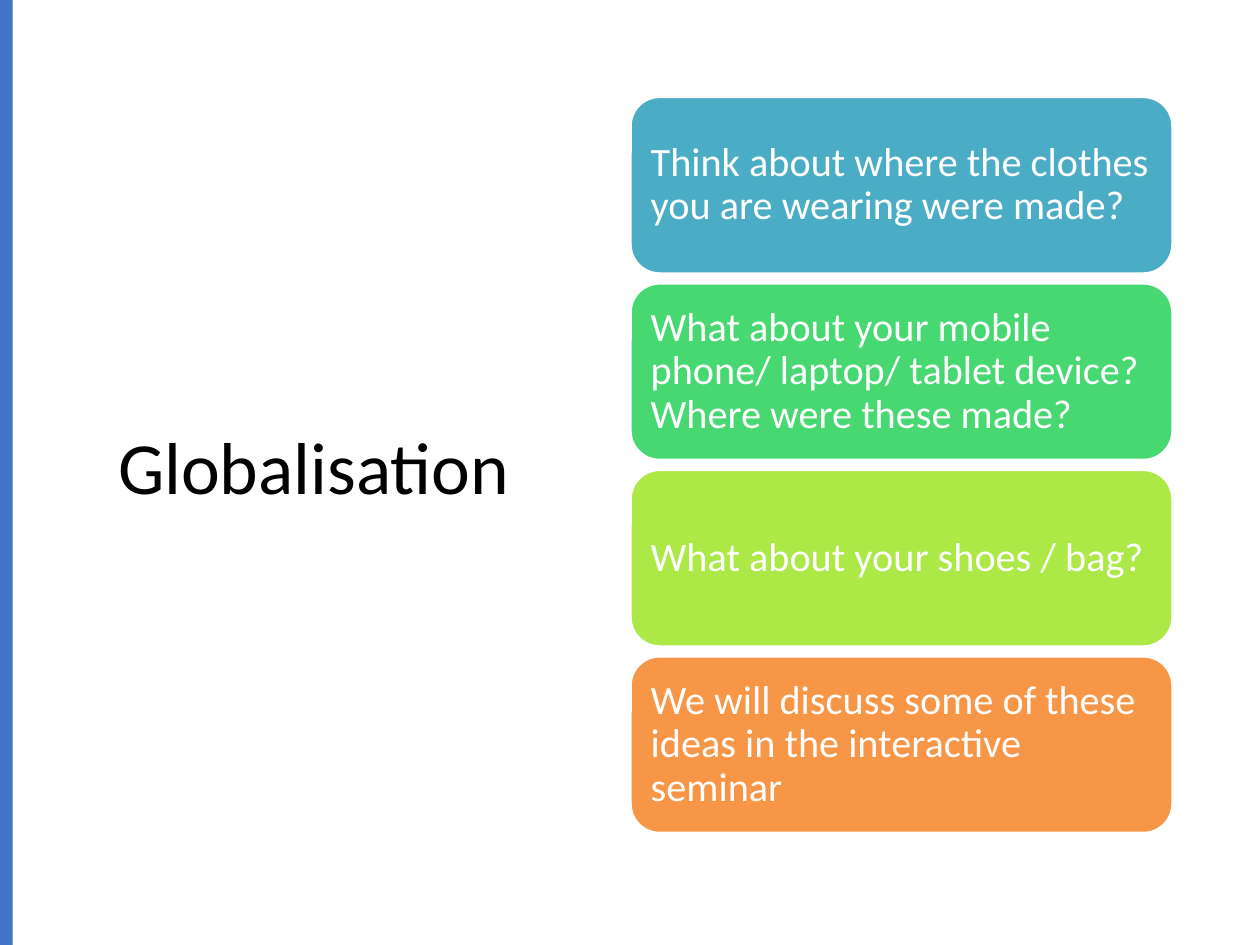
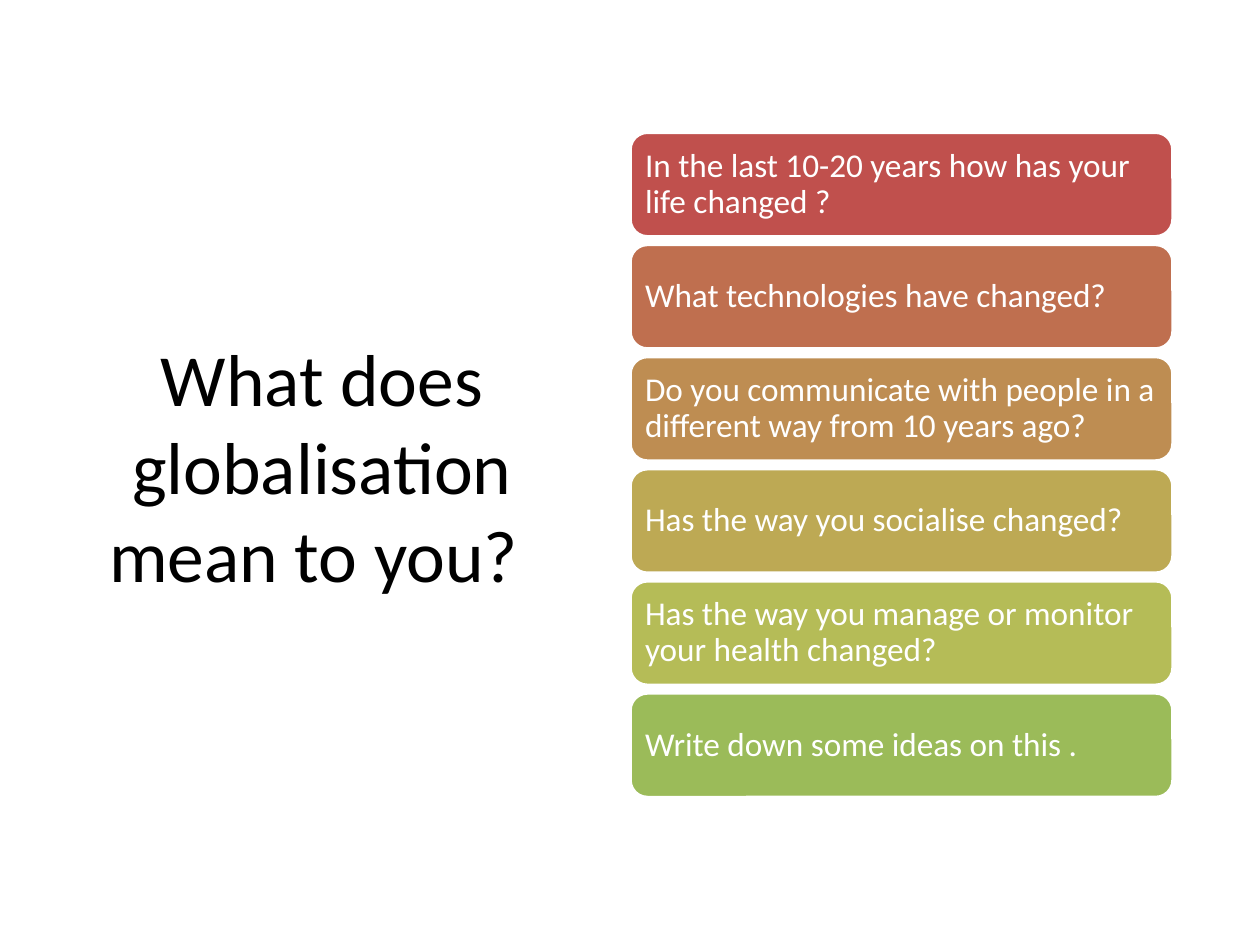
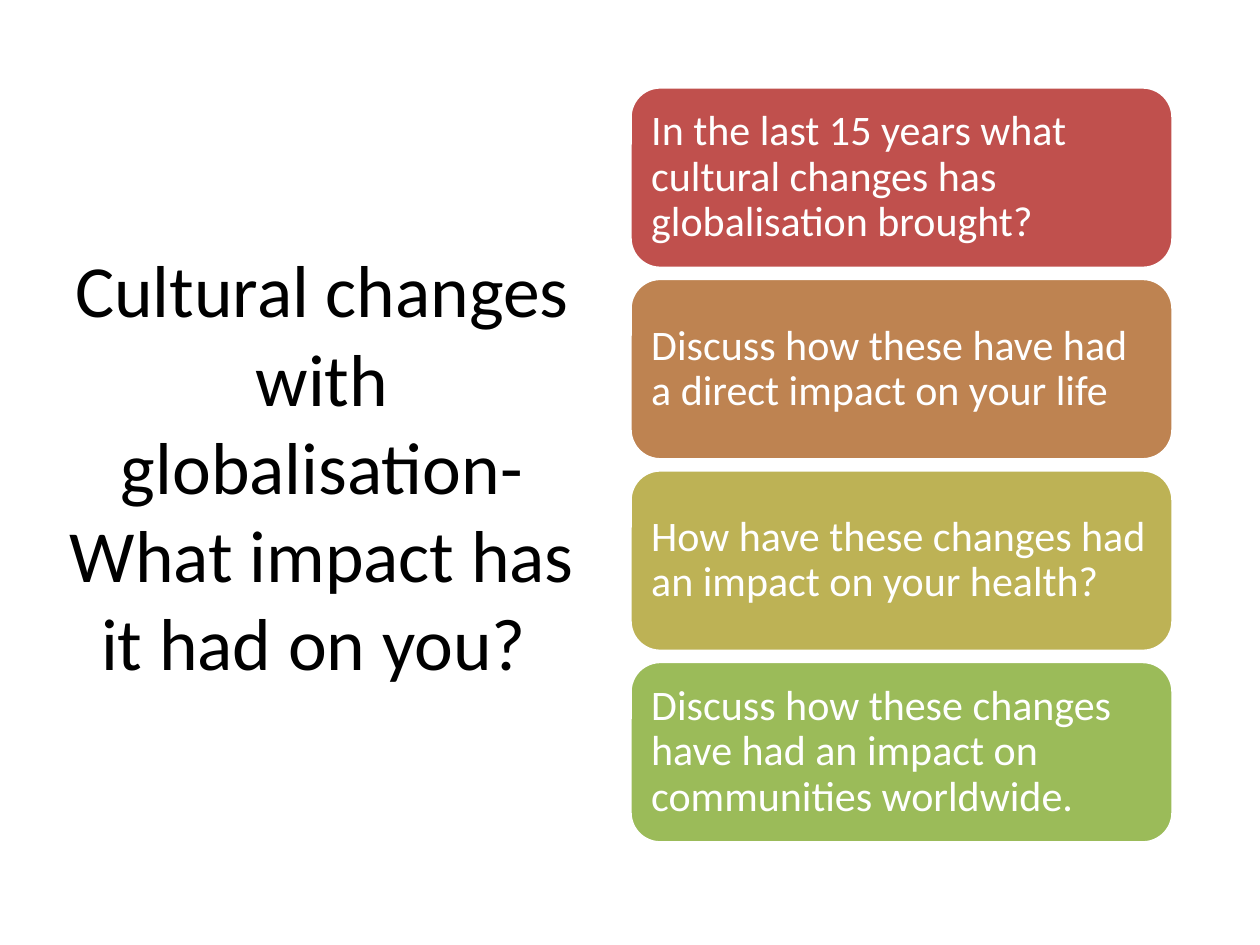
from dataclasses import dataclass

from pptx import Presentation
from pptx.dml.color import RGBColor
from pptx.enum import shapes, text
from pptx.util import Inches, Pt


@dataclass(frozen=True)
class Theme:
    font: str = "Calibri"
    ink: str = "000000"
    paper: str = "FFFFFF"
    band: str = "4472C4"
    title_size: int = 42
    outline: int = 2
    card_spacing: float = 0.9


@dataclass(frozen=True)
class Topic:
    heading: str
    questions: tuple
    size: int
    card_height: float
    gap: float
    banded: bool = False


THEME = Theme()
SLIDE_SIZE = (10, 7.5)
BAND_BOX = (0, 0, 0.1, 7.5)
HEADING_BOX = (0.43, 0.68, 4.25, 6.02)
QUESTIONS_BOX = (5, 0.68, 4.31, 6.02)

TOPICS = (
    Topic(
        "Globalisation ",
        (
            ("4BACC6", "Think about where the clothes you are wearing were made?"),
            ("47D872", "What about your mobile phone/ laptop/ tablet device? Where were these made?"),
            ("ACE946", "What about your shoes / bag?"),
            ("F79646", "We will discuss some of these ideas in the interactive seminar"),
        ),
        size=23, card_height=1.41, gap=0.07, banded=True,
    ),
    Topic(
        "What does globalisation mean to you? ",
        (
            ("C0504D", "In the last 10-20 years how has your life changed ?"),
            ("BF6F4F", "What technologies have changed?"),
            ("BE8D52", "Do you communicate with people in a different way from 10 years ago?"),
            ("BDA954", "Has the way you socialise changed?"),
            ("B5BC57", "Has the way you manage or monitor your health changed?"),
            ("9BBB59", "Write down some ideas on this ."),
        ),
        size=19, card_height=0.83, gap=0.06,
    ),
    Topic(
        "Cultural changes with globalisation-What impact has it had on you? ",
        (
            ("C0504D", "In the last 15 years what cultural changes has globalisation brought?"),
            ("BE8351", "Discuss how these have had a direct impact on your life"),
            ("BDB255", "How have these changes had an impact on your health?"),
            ("9BBB59", "Discuss how these changes have had an impact on communities worldwide."),
        ),
        size=24, card_height=1.44, gap=0.08,
    ),
)


def apply(target, formats):
    for name, value in formats.items():
        setattr(target, name, value)


def write(frame, words, size, color, align, inset=(0.1, 0.05), spacing=1.0):
    across, down = (Inches(side) for side in inset)
    apply(frame, {
        "word_wrap": True,
        "vertical_anchor": text.MSO_ANCHOR.MIDDLE,
        "margin_left": across,
        "margin_right": across,
        "margin_top": down,
        "margin_bottom": down,
    })
    sentence = frame.paragraphs[0]
    apply(sentence, {"text": words, "alignment": align, "line_spacing": spacing})
    apply(sentence.font, {"name": THEME.font, "size": Pt(size)})
    sentence.font.color.rgb = RGBColor.from_string(color)


def add_panel(slide, box, kind, color):
    panel = slide.shapes.add_shape(kind, *map(Inches, box))
    panel.shadow.inherit = False
    panel.fill.solid()
    panel.fill.fore_color.rgb = RGBColor.from_string(color)
    panel.line.fill.background()
    return panel


def add_heading(slide, box, words):
    heading = slide.shapes.add_textbox(*map(Inches, box))
    write(heading.text_frame, words, THEME.title_size, THEME.ink, text.PP_ALIGN.CENTER)


def add_questions(slide, box, topic):
    left, top, width, height = box
    pitch = topic.card_height + topic.gap
    stack_height = len(topic.questions) * pitch - topic.gap
    first_top = top + (height - stack_height) / 2
    inset = topic.size / 240
    for row, (color, question) in enumerate(topic.questions):
        card_box = (left, first_top + row * pitch, width, topic.card_height)
        card = add_panel(slide, card_box, shapes.MSO_SHAPE.ROUNDED_RECTANGLE, color)
        card.line.color.rgb = RGBColor.from_string(THEME.paper)
        card.line.width = Pt(THEME.outline)
        write(card.text_frame, question, topic.size, THEME.paper, text.PP_ALIGN.LEFT,
              (inset, inset), THEME.card_spacing)


def add_topic_slide(deck, topic):
    slide = deck.slides.add_slide(deck.slide_layouts[6])
    slide.background.fill.solid()
    slide.background.fill.fore_color.rgb = RGBColor.from_string(THEME.paper)
    add_heading(slide, HEADING_BOX, topic.heading)
    if topic.banded:
        add_panel(slide, BAND_BOX, shapes.MSO_SHAPE.RECTANGLE, THEME.band)
    add_questions(slide, QUESTIONS_BOX, topic)


def main():
    deck = Presentation()
    deck.slide_width, deck.slide_height = map(Inches, SLIDE_SIZE)
    for topic in TOPICS:
        add_topic_slide(deck, topic)
    deck.save("out.pptx")


if __name__ == "__main__":
    main()
